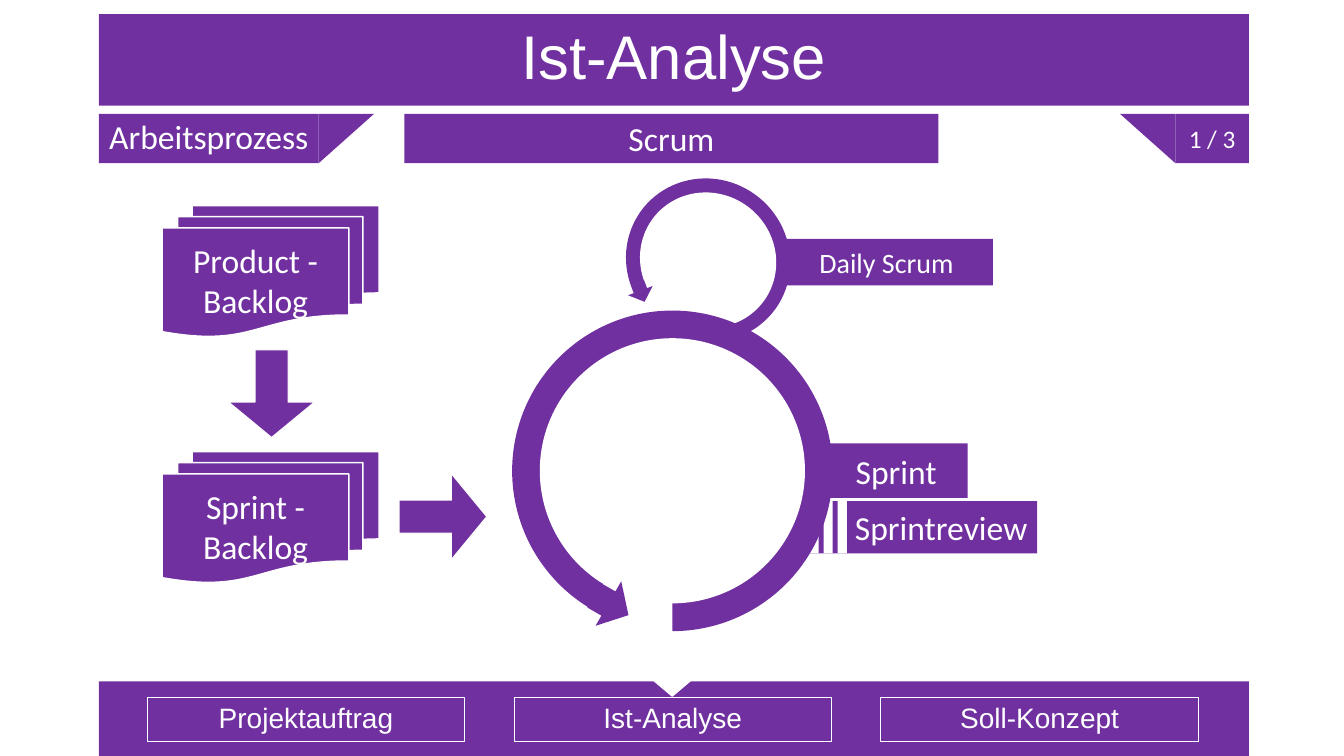
from pptx import Presentation
from pptx import util as u
from pptx.dml import color
from pptx.enum import shapes, text
from pptx.oxml import parse_xml
from pptx.oxml import ns

PURPLE, WHITE = "7030A0", "FFFFFF"
GEO = shapes.MSO_SHAPE


def rgb(hex_code):
    """Return the colour for a hex string."""
    return color.RGBColor.from_string(hex_code)


def put(sp, box):
    """Move a shape to a box given in points."""
    sp.left, sp.top, sp.width, sp.height = map(u.Pt, box)


def paint(sp, fill=None, line=None, width=0.75):
    """Set the fill and outline of a shape."""
    if fill:
        sp.fill.solid()
        sp.fill.fore_color.rgb = rgb(fill)
    else:
        sp.fill.background()
    if line:
        sp.line.color.rgb = rgb(line)
        sp.line.width = u.Pt(width)
    else:
        sp.line.fill.background()


def write(sp, words, size, font="Calibri", align=text.PP_ALIGN.CENTER):
    """Fill a shape with white, vertically centred text."""
    tf = sp.text_frame
    tf.text = words
    tf.word_wrap = True
    tf.auto_size = text.MSO_AUTO_SIZE.NONE
    tf.vertical_anchor = text.MSO_ANCHOR.MIDDLE
    for p in tf.paragraphs:
        p.alignment = align
        p.font.name, p.font.size = font, u.Pt(size)
        p.font.bold = False
        p.font.color.rgb = rgb(WHITE)


def add(slide, kind, box, fill=PURPLE, line=None, width=0.75, rot=0, adj=()):
    """Add a flat preset shape."""
    sp = slide.shapes.add_shape(kind, *map(u.Pt, box))
    sp.shadow.inherit = False
    sp.rotation = rot
    for i, value in enumerate(adj):
        sp.adjustments[i] = value
    paint(sp, fill, line, width)
    return sp


def label(slide, box, words, size, align=text.PP_ALIGN.CENTER):
    """Add a purple bar with text."""
    write(add(slide, GEO.RECTANGLE, box), words, size, align=align)


def body(slide, idx, box, words, size, font, fill=None, line=None):
    """Place a body placeholder in front, without a bullet."""
    sp = slide.placeholders[idx]
    slide.shapes._spTree.append(sp._element)
    put(sp, box)
    paint(sp, fill, line)
    write(sp, words, size, font)
    p = sp.text_frame.paragraphs[0]
    p.line_spacing, p.space_before = 0.9, u.Pt(10)
    pPr = p._p.get_or_add_pPr()
    pPr.set("marL", "0")
    pPr.set("indent", "0")
    bullet = parse_xml(f"<a:buNone {ns.nsdecls('a')}/>")
    pPr.insert_element_before(bullet, "a:tabLst", "a:defRPr", "a:extLst")


def header(slide, box):
    """Build the title bar and the row with section, topic and page."""
    x, y, w, h = box
    title = slide.shapes.title
    put(title, (x, y, w, 65.5))
    paint(title, PURPLE)
    write(title, "Ist-Analyse", 44, "Arial")
    title.text_frame.paragraphs[0].line_spacing = 0.9
    row_h, slant = 35.3, 39.6
    row_y, right = y + h - row_h, x + w
    section_w, page_w = 157, 52.5
    shift = (slant - row_h) / 2
    add(slide, GEO.RIGHT_TRIANGLE,
        (x + section_w + shift, row_y - shift, row_h, slant), rot=90)
    add(slide, GEO.RIGHT_TRIANGLE,
        (right - page_w - slant, row_y, slant, row_h), rot=180)
    body(slide, 1, (x, row_y, section_w, row_h), "Arbeitsprozess", 24,
         "Calibri", PURPLE)
    label(slide, (x + 218.2, row_y, 381.6, row_h), "Scrum", 24)
    label(slide, (right - page_w, row_y, page_w, row_h), "1 / 3", 18)


def footer(slide, box):
    """Build the navigation bar with its marker and three entries."""
    x, y, w, h = box
    add(slide, GEO.RECTANGLE, box)
    add(slide, GEO.ISOSCELES_TRIANGLE, (x + w / 2 - 14.2, y - 0.5, 26, 11),
        WHITE, WHITE, 1, rot=180)
    entries = ["Projektauftrag", "Ist-Analyse", "Soll-Konzept"]
    for i, words in enumerate(entries):
        body(slide, i + 2, (x + 34.6 + i * 262, y + 11.5, 226.8, 31.7), words,
             20, "Arial", line=WHITE)


def backlogs(slide, box):
    """Build the two backlogs and the arrows that lead to the sprint."""
    x, y, w, h = box
    doc_h = 93.6
    docs = [(y, "Product -\nBacklog"), (y + h - doc_h, "Sprint -\nBacklog")]
    for top, words in docs:
        sp = add(slide, GEO.FLOWCHART_MULTIDOCUMENT, (x, top, w, doc_h),
                 line=WHITE, width=1)
        write(sp, words, 24)
    arrows = [(x + 47.5, y + 103, 0), (x + 169.9, y + 190.8, 270)]
    for left, top, rot in arrows:
        add(slide, GEO.DOWN_ARROW, (left, top, 61.2, 62.6), line=WHITE,
            rot=rot, adj=(0.384, 0.412))


def loop(slide, box, ring, rot, gaps, arrow, cut):
    """Build an open ring; gaps, arrow and cut are (dx, dy, w, h, rotation)."""
    x, y, w, h = box
    add(slide, GEO.OVAL, box, rot=rot)
    add(slide, GEO.OVAL, (x + ring, y + ring, w - 2 * ring, h - 2 * ring),
        WHITE, rot=rot)
    parts = [(GEO.RECTANGLE, WHITE, (), gap) for gap in gaps]
    parts.append((GEO.RIGHT_ARROW, PURPLE, (0.543, 0.589), arrow))
    parts.append((GEO.RECTANGLE, WHITE, (), cut))
    for kind, fill, adj, (dx, dy, pw, ph, turn) in parts:
        add(slide, kind, (x + dx, y + dy, pw, ph), fill, rot=turn, adj=adj)


def sprint(slide, box):
    """Build the daily and sprint loops with their labels."""
    x, y, w, h = box
    review_x, review_y, review_h = x + 212.4, y + 229.7, 37.4
    stripes = [review_x + i * 10.1 for i in range(3)]
    label(slide, (review_x, review_y, 162.7, review_h), "Sprintreview", 24,
          text.PP_ALIGN.RIGHT)
    for left in stripes[:2]:
        add(slide, GEO.RECTANGLE, (left, review_y, 6.5, review_h), WHITE)
    loop(slide, (x + 80.6, y, 118.8, 115.2), 10, 39.4,
         [(5.8, 70.6, 18, 35.3, 39.4), (-2.9, 67, 18, 35.3, 71.4)],
         (4.3, 71.3, 14.4, 18.7, 69.4), (14.4, 75.6, 14.4, 32.4, 39.4))
    loop(slide, (x, y + h - 229, 229, 229), 19.8, 0,
         [(50.4, 188.6, 35.3, 69.8, 32)],
         (56.9, 192.2, 28.1, 36.7, 30), (86.4, 182.9, 28.1, 64.1, 0))
    label(slide, (x + 223.2, y + 188.6, 102.2, 38.9), "Sprint", 24)
    label(slide, (x + 191.5, y + 42.5, 151.9, 33.1), "Daily Scrum", 20)
    add(slide, GEO.RECTANGLE, (stripes[2], review_y, 6.5, review_h), WHITE)


def main():
    """Build and save the slide."""
    prs = Presentation()
    prs.slide_width, prs.slide_height = u.Pt(960), u.Pt(540)
    slide = prs.slides.add_slide(prs.slide_layouts[4])
    footer(slide, (70.6, 486.7, 821.5, 53.3))
    header(slide, (70.6, 10, 821.5, 106.6))
    sprint(slide, (365.8, 128.2, 375, 322.6))
    backlogs(slide, (115.9, 146.9, 154.8, 269.3))
    prs.save("out.pptx")


if __name__ == "__main__":
    main()
